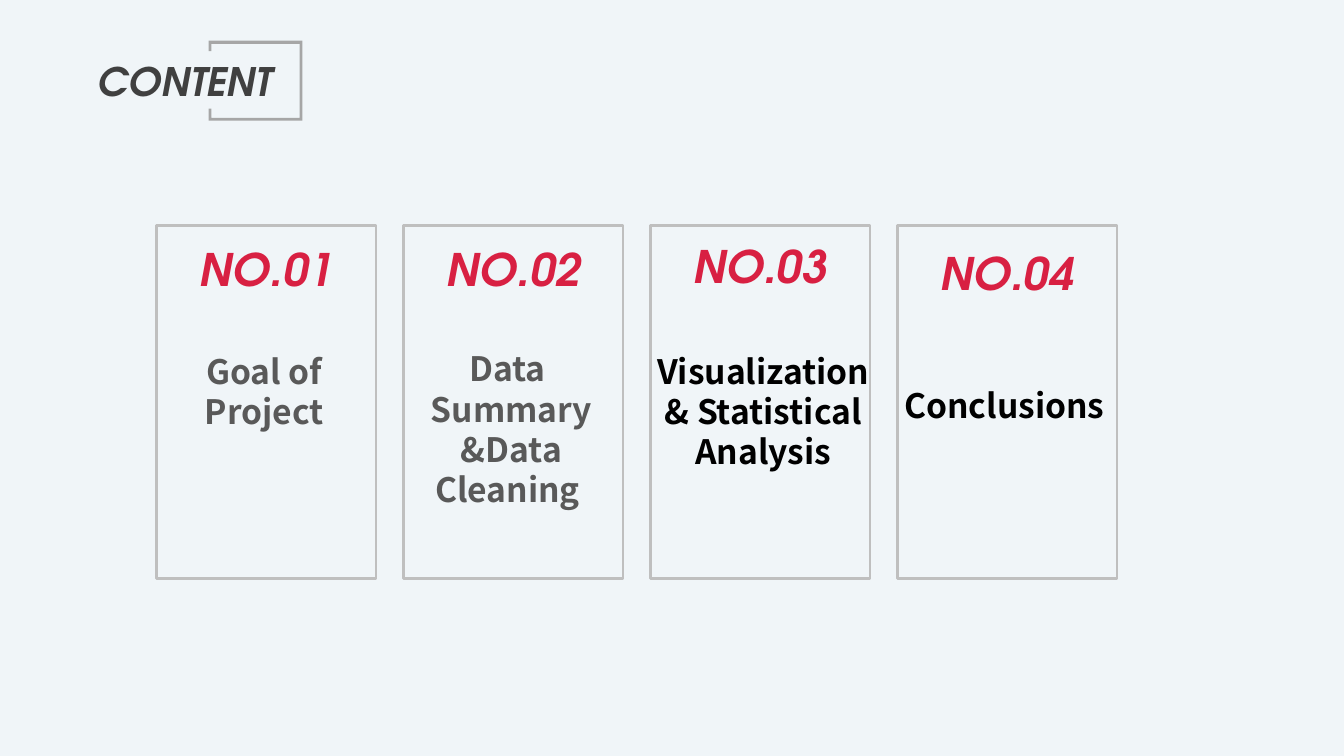
import pptx
import pptx.dml.color
import pptx.enum.shapes
import pptx.enum.text
import pptx.util

Pt = pptx.util.Pt
HEADING_FONT = "TeX Gyre Adventor"
BODY_FONT = "Noto Sans CJK SC"
CARD_LEFT, CARD_TOP, CARD_WIDTH, CARD_HEIGHT = 84, 121, 117.5, 189
CARD_STEP = 132.3


def color(value):
    return pptx.dml.color.RGBColor.from_string(value)


def add_text(page, left, top, width, height, lines, font, size, fill,
             italic=False, centered=True):
    box = page.shapes.add_textbox(Pt(left), Pt(top), Pt(width), Pt(height))
    frame = box.text_frame
    frame.word_wrap = centered
    frame.text = lines
    for para in frame.paragraphs:
        if centered:
            para.alignment = pptx.enum.text.PP_ALIGN.CENTER
        for span in para.runs:
            span.font.name = font
            span.font.size = Pt(size)
            span.font.bold = True
            span.font.italic = italic
            span.font.color.rgb = color(fill)


def add_bracket(page):
    points = [(111.8, 21.8), (162, 21.8), (162, 64.6), (111.8, 64.6),
              (111.8, 58.3), (113.2, 58.3), (113.2, 63.2), (160.5, 63.2),
              (160.5, 23.5), (113.2, 23.5), (113.2, 27.4), (111.8, 27.4)]
    corners = [(Pt(x), Pt(y)) for x, y in points]
    builder = page.shapes.build_freeform(*corners[0])
    builder.add_line_segments(corners[1:], close=True)
    bracket = builder.convert_to_shape()
    bracket.shadow.inherit = False
    bracket.fill.solid()
    bracket.fill.fore_color.rgb = color("A6A6A6")
    bracket.line.fill.background()


def add_card(page, index, number_top, label, label_box, label_color):
    left = CARD_LEFT + index * CARD_STEP
    card = page.shapes.add_shape(
        pptx.enum.shapes.MSO_SHAPE.RECTANGLE,
        Pt(left), Pt(CARD_TOP), Pt(CARD_WIDTH), Pt(CARD_HEIGHT))
    card.shadow.inherit = False
    card.fill.background()
    card.line.color.rgb = color("BFBFBF")
    card.line.width = Pt(1.5)
    add_text(page, left, number_top, CARD_WIDTH, 36, f"NO.{index + 1:02d}",
             HEADING_FONT, 24, "D82042", italic=True)
    add_text(page, *label_box, label, BODY_FONT, 18, label_color)


def main():
    deck = pptx.Presentation()
    deck.slide_width, deck.slide_height = Pt(720), Pt(405)
    page = deck.slides.add_slide(deck.slide_layouts[6])
    page.background.fill.solid()
    page.background.fill.fore_color.rgb = color("F0F5F8")

    add_bracket(page)
    add_text(page, 45.4, 27.4, 108.7, 32.4, "CONTENT", HEADING_FONT, 21,
             "404040", italic=True, centered=False)

    cards = [
        (126, "Goal of Project", (82.8, 184.3, 117.5, 51), "595959"),
        (126, "Data \nSummary &Data Cleaning ", (205.2, 183, 137.5, 116), "595959"),
        (124.5, "Visualization& Statistical Analysis", (339.8, 184.3, 138.2, 73), "000000"),
        (128.2, " Conclusions", (470.9, 202.5, 130.3, 29), "000000"),
    ]
    for index, card in enumerate(cards):
        add_card(page, index, *card)
    deck.save("out.pptx")


if __name__ == "__main__":
    main()
